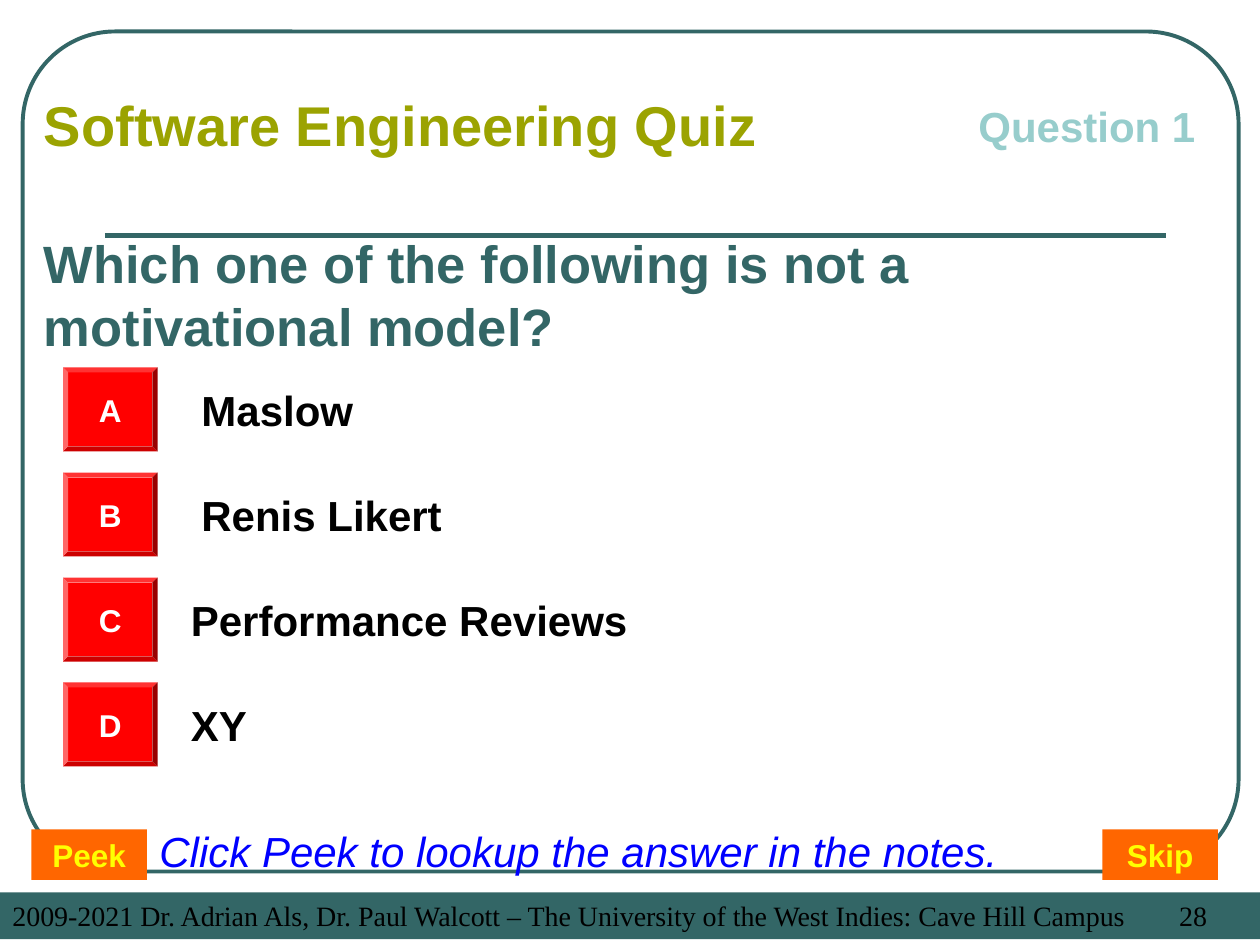
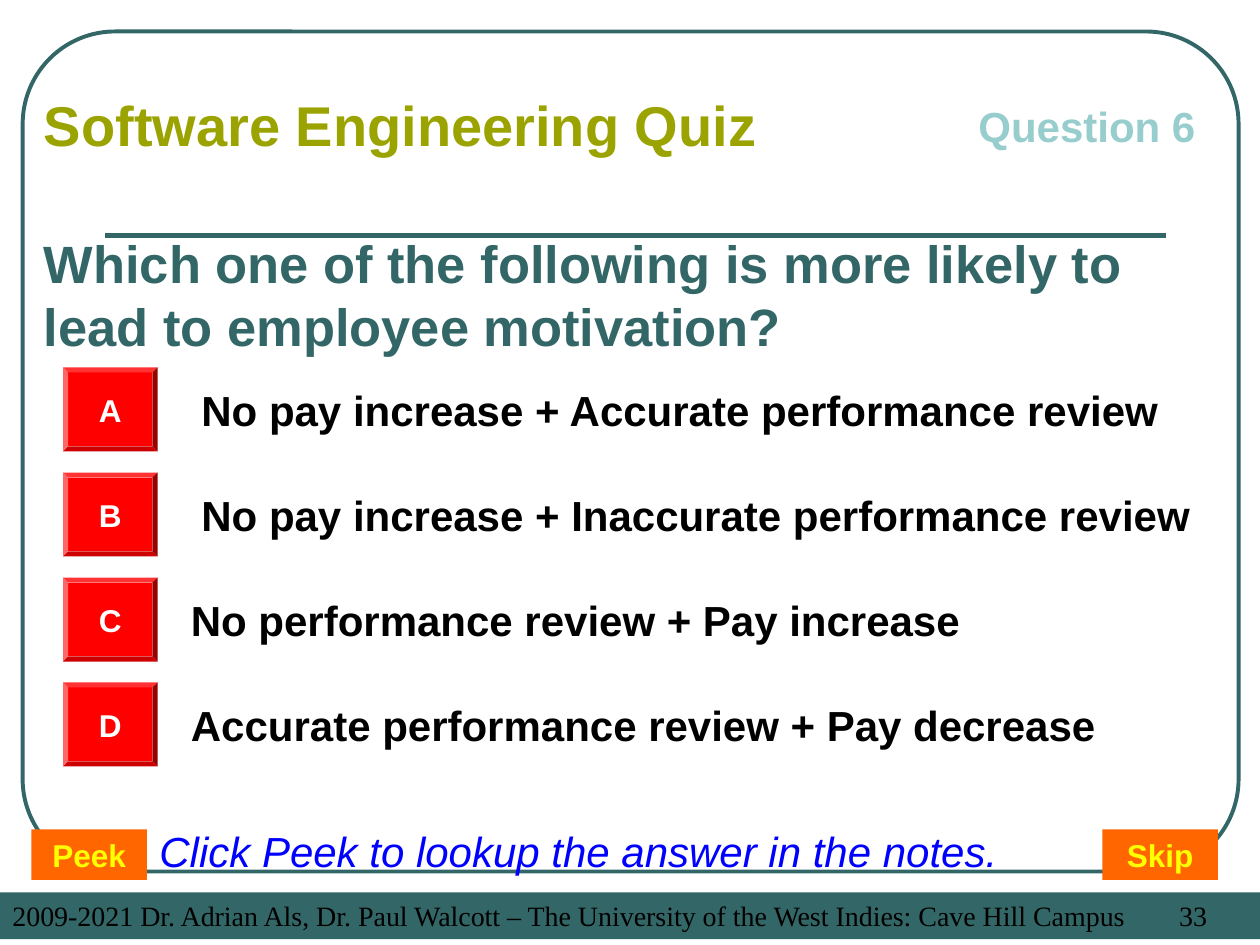
from dataclasses import dataclass
from typing import Optional

import lxml.etree
import pptx
import pptx.dml.color
import pptx.enum.shapes
import pptx.enum.text
import pptx.oxml.ns
import pptx.util

SHAPES = pptx.enum.shapes.MSO_SHAPE
ALIGN = pptx.enum.text.PP_ALIGN
ANCHOR = pptx.enum.text.MSO_ANCHOR

WIDTH = pptx.util.Inches(10)
HEIGHT = pptx.util.Inches(7.5)
COLUMNS, ROWS = 120, 90

TEAL, OLIVE, AQUA = "336666", "9BA301", "97CDCC"
RED, ORANGE, YELLOW, BLUE = "FF0000", "FF6600", "FFFF00", "0000FF"
BLACK, WHITE = "000000", "FFFFFF"

FOOTER = ("2009-2021 Dr. Adrian Als, Dr. Paul Walcott – "
          "The University of the West Indies: Cave Hill Campus")
PAGE_NUMBER_TAB = pptx.util.Inches(9.26)
FIRST_ANSWER_ROW, ANSWER_STEP = 35, 10


@dataclass(frozen=True)
class Area:
    column: float
    row: float
    columns: float
    rows: float

    def lengths(self) -> tuple[int, int, int, int]:
        return (across(self.column), down(self.row),
                across(self.columns), down(self.rows))


@dataclass(frozen=True)
class Style:
    size: float
    color: str
    bold: bool = True
    italic: bool = False
    font: str = "Arial"
    align: ALIGN = ALIGN.LEFT
    anchor: ANCHOR = ANCHOR.TOP
    wrap: bool = True


@dataclass(frozen=True)
class Button:
    label: str
    area: Area


@dataclass(frozen=True)
class Question:
    number: int
    page: int
    wording: str
    answers: tuple[str, str, str, str]


QUIZ_NAME = Style(32, OLIVE)
QUESTION_NUMBER = Style(24, AQUA)
QUESTION_WORDING = Style(30, TEAL, anchor=ANCHOR.MIDDLE)
ANSWER = Style(24, BLACK)
ANSWER_LETTER = Style(18, WHITE, align=ALIGN.CENTER, anchor=ANCHOR.MIDDLE, wrap=False)
BUTTON_LABEL = Style(18, YELLOW, align=ALIGN.CENTER)
HINT = Style(24, BLUE, bold=False, italic=True)
FOOTER_TEXT = Style(16, BLACK, bold=False, font="Times New Roman")

BUTTONS = (
    Button("Skip", Area(105, 79, 11, 4.8)),
    Button("Peek", Area(3, 79, 11, 4.8)),
)

QUESTIONS = (
    Question(1, 28, "Which one of the following is not a motivational model?",
             ("Maslow", "Renis Likert", "Performance Reviews", "XY")),
    Question(6, 33, "Which one of the following is more likely to lead to employee motivation?",
             ("No pay increase + Accurate performance review",
              "No pay increase + Inaccurate performance review",
              "No performance review + Pay increase",
              "Accurate performance review + Pay decrease")),
)


def across(columns: float) -> int:
    return round(WIDTH * columns / COLUMNS)


def down(rows: float) -> int:
    return round(HEIGHT * rows / ROWS)


def rgb(color: str) -> pptx.dml.color.RGBColor:
    return pptx.dml.color.RGBColor.from_string(color)


def write(holder, text: str, style: Style) -> None:
    frame = holder.text_frame
    frame.word_wrap = style.wrap
    frame.vertical_anchor = style.anchor
    paragraph = frame.paragraphs[0]
    paragraph.alignment = style.align
    run = paragraph.add_run()
    run.text = text
    run.font.name = style.font
    run.font.size = pptx.util.Pt(style.size)
    run.font.bold = style.bold
    run.font.italic = style.italic
    run.font.color.rgb = rgb(style.color)


def add_text(slide, area: Area, text: str, style: Style) -> None:
    write(slide.shapes.add_textbox(*area.lengths()), text, style)


def add_panel(slide, kind: SHAPES, area: Area, fill: Optional[str] = None):
    panel = slide.shapes.add_shape(kind, *area.lengths())
    panel.shadow.inherit = False
    panel.line.fill.background()
    if fill:
        panel.fill.solid()
        panel.fill.fore_color.rgb = rgb(fill)
    else:
        panel.fill.background()
    return panel


def outline(line, color: str, width: float) -> None:
    line.color.rgb = rgb(color)
    line.width = pptx.util.Pt(width)


def add_border(slide) -> None:
    border = add_panel(slide, SHAPES.ROUNDED_RECTANGLE, Area(2.16, 3, 115.8, 80))
    border.adjustments[0] = 0.11
    outline(border.line, TEAL, 2.25)
    rule = slide.shapes.add_connector(
        pptx.enum.shapes.MSO_CONNECTOR.STRAIGHT,
        across(10), down(22.44), across(111), down(22.44))
    outline(rule.line, TEAL, 3)
    lxml.etree.SubElement(rule._element.spPr, pptx.oxml.ns.qn("a:effectLst"))


def add_footer(slide, page: int) -> None:
    band = add_panel(slide, SHAPES.RECTANGLE, Area(0, 85, COLUMNS, 4.44), TEAL)
    write(band, f"{FOOTER}\t{page}", FOOTER_TEXT)
    properties = band.text_frame.paragraphs[0]._p.get_or_add_pPr()
    stops = lxml.etree.SubElement(properties, pptx.oxml.ns.qn("a:tabLst"))
    lxml.etree.SubElement(stops, pptx.oxml.ns.qn("a:tab"),
                          pos=str(PAGE_NUMBER_TAB), algn="l")


def add_answer(slide, index: int, answer: str) -> None:
    row = FIRST_ANSWER_ROW + index * ANSWER_STEP
    key = add_panel(slide, SHAPES.BEVEL, Area(6, row, 9, 8), RED)
    key.adjustments[0] = 0.06
    write(key, "ABCD"[index], ANSWER_LETTER)
    column = 18 if index < 2 else 17
    add_text(slide, Area(column, row + 1, 99, 6), answer, ANSWER)


def add_question(deck, question: Question) -> None:
    slide = deck.slides.add_slide(deck.slide_layouts[6])
    add_border(slide)
    add_footer(slide, question.page)
    add_text(slide, Area(3, 19, 114, 18), question.wording, QUESTION_WORDING)
    for index, answer in enumerate(question.answers):
        add_answer(slide, index, answer)
    add_text(slide, Area(3, 8, 78, 7.7), "Software Engineering Quiz", QUIZ_NAME)
    add_text(slide, Area(92, 9, 28, 6), f"Question {question.number}", QUESTION_NUMBER)
    for button in BUTTONS:
        write(add_panel(slide, SHAPES.RECTANGLE, button.area, ORANGE),
              button.label, BUTTON_LABEL)
    add_text(slide, Area(14, 78, 86, 6),
             "Click Peek to lookup the answer in the notes.", HINT)


def main() -> None:
    deck = pptx.Presentation()
    deck.slide_width, deck.slide_height = WIDTH, HEIGHT
    for question in QUESTIONS:
        add_question(deck, question)
    deck.save("out.pptx")


if __name__ == "__main__":
    main()
